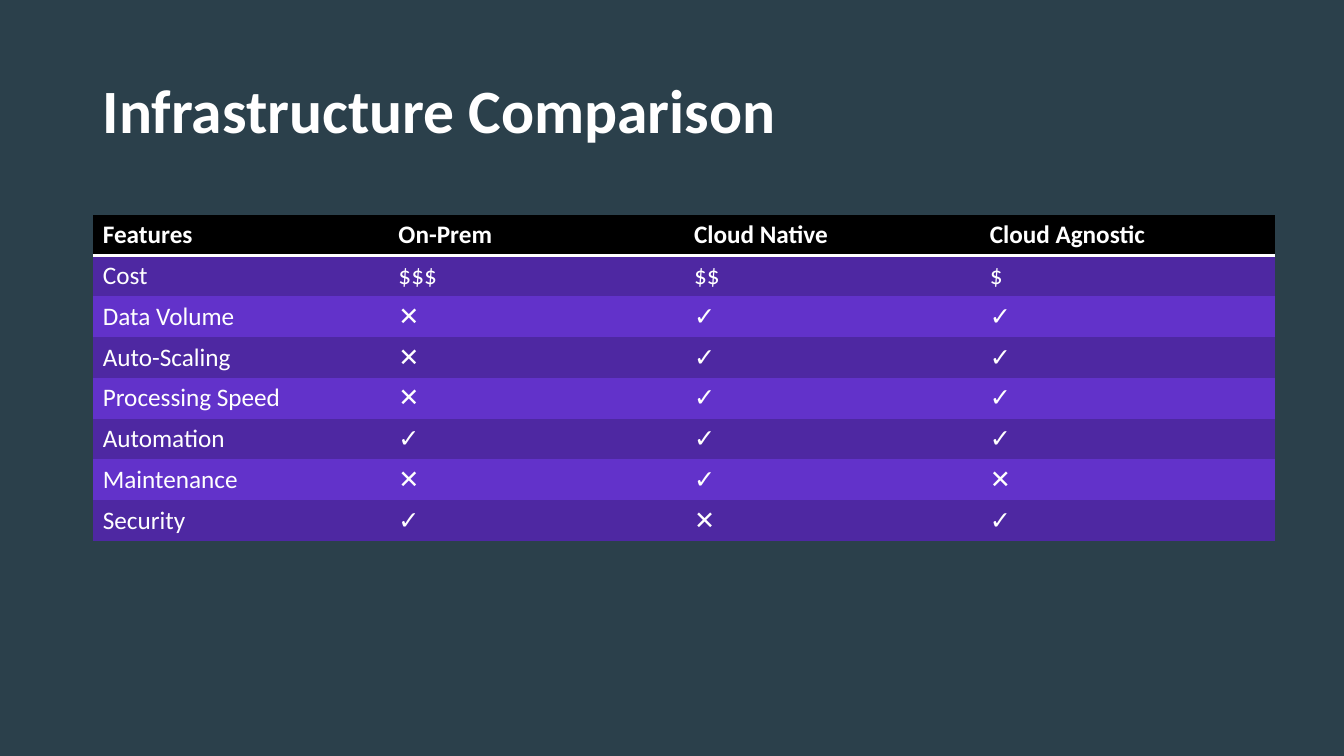
import pptx
import pptx.dml.color
import pptx.enum.text
import pptx.oxml
import pptx.oxml.ns
import pptx.util

Inches = pptx.util.Inches
Pt = pptx.util.Pt
RGBColor = pptx.dml.color.RGBColor

TITLE = "Infrastructure Comparison"
ROWS = [
    ("Features", "On-Prem", "Cloud Native", "Cloud Agnostic"),
    ("Cost", "$$$", "$$", "$"),
    ("Data Volume", "✕", "✓", "✓"),
    ("Auto-Scaling", "✕", "✓", "✓"),
    ("Processing Speed", "✕", "✓", "✓"),
    ("Automation", "✓", "✓", "✓"),
    ("Maintenance", "✕", "✓", "✕"),
    ("Security", "✓", "✕", "✓"),
]

FONT = "Calibri"
SLATE = RGBColor(0x2B, 0x40, 0x4B)
WHITE = RGBColor(0xFF, 0xFF, 0xFF)
BLACK = RGBColor(0x00, 0x00, 0x00)
DARK_PURPLE = RGBColor(0x4E, 0x28, 0xA2)
LIGHT_PURPLE = RGBColor(0x62, 0x32, 0xCA)
NO_GRID_STYLE = "{2D5ABB26-0587-4C30-8999-92F81FD0307C}"

LEFT = 0.92
TABLE_TOP = 2.13
TABLE_WIDTH = 11.73
ROW_HEIGHT = 3.24 / len(ROWS)


def set_font(para, size, bold):
    para.font.name = FONT
    para.font.size = Pt(size)
    para.font.bold = bold
    para.font.color.rgb = WHITE


def add_bottom_border(cell, color, width):
    border = pptx.oxml.parse_xml(
        f'<a:lnB {pptx.oxml.ns.nsdecls("a")} w="{Pt(width)}">'
        f'<a:solidFill><a:srgbClr val="{color}"/></a:solidFill></a:lnB>'
    )
    cell._tc.get_or_add_tcPr().insert(0, border)


def add_title(page):
    box = page.shapes.add_textbox(Inches(LEFT), Inches(0.4), Inches(11.5), Inches(1.45))
    frame = box.text_frame
    frame.word_wrap = True
    frame.vertical_anchor = pptx.enum.text.MSO_ANCHOR.MIDDLE
    para = frame.paragraphs[0]
    para.text = TITLE
    para.line_spacing = 0.9
    set_font(para, 44, True)


def add_comparison(page):
    table = page.shapes.add_table(
        len(ROWS), len(ROWS[0]), Inches(LEFT), Inches(TABLE_TOP),
        Inches(TABLE_WIDTH), Inches(ROW_HEIGHT * len(ROWS)),
    ).table
    table.horz_banding = False
    table._tbl.tblPr.find(pptx.oxml.ns.qn("a:tableStyleId")).text = NO_GRID_STYLE
    for row_index, row in enumerate(ROWS):
        is_header = row_index == 0
        band = DARK_PURPLE if row_index % 2 else LIGHT_PURPLE
        for column_index, text in enumerate(row):
            cell = table.cell(row_index, column_index)
            cell.text = text
            cell.fill.solid()
            cell.fill.fore_color.rgb = BLACK if is_header else band
            set_font(cell.text_frame.paragraphs[0], 18, is_header)
            if is_header:
                add_bottom_border(cell, WHITE, 2)


def main():
    deck = pptx.Presentation()
    deck.slide_width = Inches(13.33)
    deck.slide_height = Inches(7.5)
    page = deck.slides.add_slide(deck.slide_layouts[6])
    page.background.fill.solid()
    page.background.fill.fore_color.rgb = SLATE
    add_title(page)
    add_comparison(page)
    deck.save("out.pptx")


if __name__ == "__main__":
    main()
